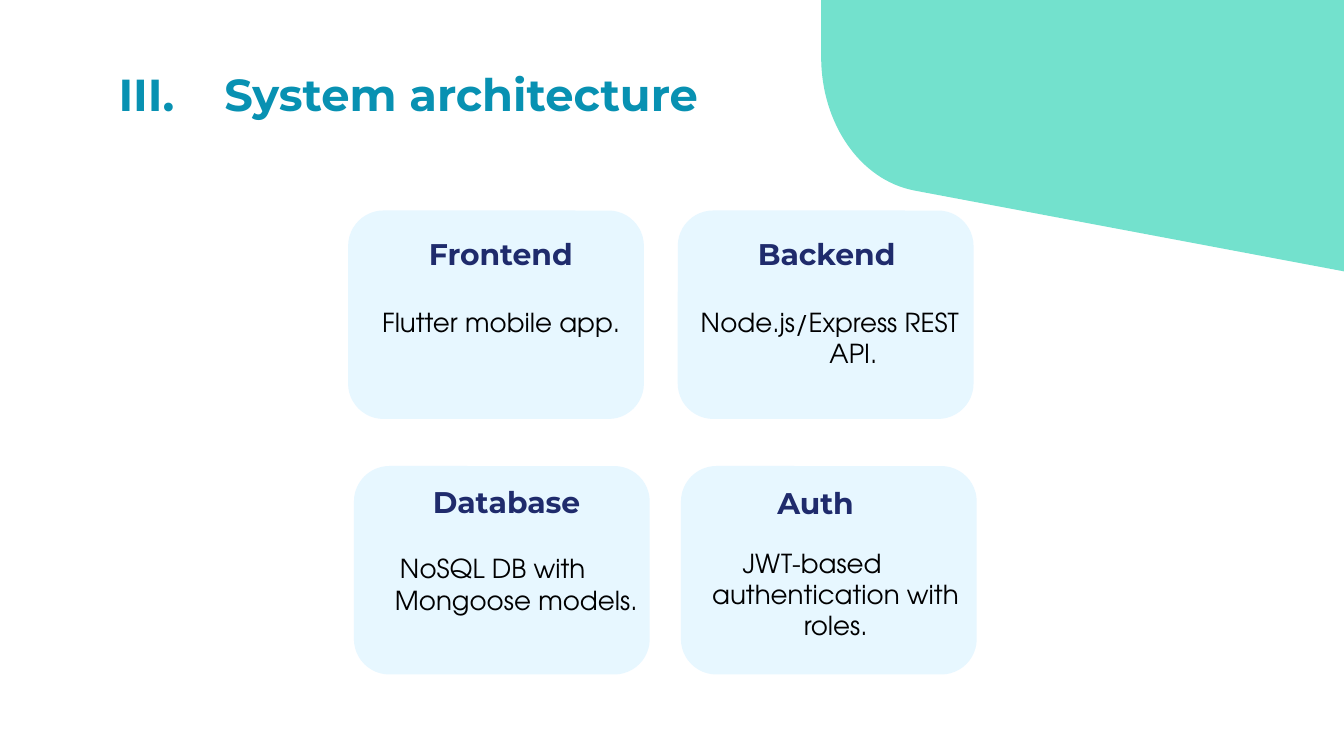
import dataclasses
import typing

import lxml.etree
import pptx
import pptx.dml.color
import pptx.enum.shapes
import pptx.enum.text
import pptx.oxml.ns
import pptx.util

Cm = pptx.util.Cm
Point = typing.Tuple[float, float]

COLORS = {
    "mint": "73E1CD",
    "card": "E7F7FF",
    "title": "0891B2",
    "heading": "1F2B6C",
    "body": "000000",
}
HEADING_FONT = "Montserrat"
BODY_FONT = "TeX Gyre Adventor"
CARD_WIDTH, CARD_HEIGHT = 5.59, 3.94
HEADING_WIDTH, HEADING_HEIGHT = 5.77, 1.17


@dataclasses.dataclass(frozen=True)
class Area:
    left: float
    top: float
    width: float
    height: float

    def lengths(self) -> typing.List[int]:
        return [Cm(value) for value in dataclasses.astuple(self)]


@dataclasses.dataclass(frozen=True)
class Card:
    heading: str
    body: str
    corner: Point
    heading_corner: Point
    body_area: Area


CARDS = [
    Card("Frontend", "Flutter mobile app.",
         (6.58, 3.98), (6.58, 4.2), Area(6.4, 5.54, 5.77, 1.37)),
    Card("Backend", "Node.js/Express REST API.",
         (12.81, 3.98), (12.74, 4.2), Area(12.17, 5.54, 6.65, 1.37)),
    Card("Database", "NoSQL DB with Mongoose models.",
         (6.69, 8.81), (6.69, 8.89), Area(5.9, 10.2, 6.45, 1.37)),
    Card("Auth", "JWT-based authentication with roles.",
         (12.87, 8.81), (12.53, 8.92), Area(11.82, 10.09, 6.68, 2.13)),
]


def color(name: str) -> pptx.dml.color.RGBColor:
    return pptx.dml.color.RGBColor.from_string(COLORS[name])


def paint(shape, name: str) -> None:
    shape.shadow.inherit = False
    shape.fill.solid()
    shape.fill.fore_color.rgb = color(name)
    shape.line.fill.background()


def curve(start: Point, first: Point, second: Point, end: Point,
          steps: int = 32) -> typing.List[Point]:
    points = []
    for step in range(1, steps + 1):
        t = step / steps
        points.append(tuple(
            (1 - t) ** 3 * a + 3 * (1 - t) ** 2 * t * b
            + 3 * (1 - t) * t ** 2 * c + t ** 3 * d
            for a, b, c, d in zip(start, first, second, end)))
    return points


def draw_corner(page) -> None:
    bend = (15.52, 1.07)
    outline = [(25.4, 0), (15.52, 0), bend]
    outline += curve(bend, (15.52, 2.34), (16.26, 3.4), (17.27, 3.6))
    builder = page.shapes.build_freeform(Cm(25.4), Cm(5.13), scale=1.0)
    builder.add_line_segments([(Cm(x), Cm(y)) for x, y in outline], close=True)
    paint(builder.convert_to_shape(), "mint")


def prepare(frame) -> None:
    frame.word_wrap = True
    frame.auto_size = pptx.enum.text.MSO_AUTO_SIZE.NONE
    frame.margin_left = frame.margin_right = Cm(0.25)
    frame.margin_top = frame.margin_bottom = Cm(0.25)


def add_span(para, text: str, font: str, size: int, name: str, bold: bool) -> None:
    span = para.add_run()
    span.text = text
    span.font.name = font
    span.font.size = pptx.util.Pt(size)
    span.font.bold = bold
    span.font.color.rgb = color(name)


def add_centred_box(page, area: Area):
    box = page.shapes.add_textbox(*area.lengths())
    prepare(box.text_frame)
    para = box.text_frame.paragraphs[0]
    para.alignment = pptx.enum.text.PP_ALIGN.CENTER
    return para


def draw_title(page) -> None:
    title = page.shapes.title
    title.left, title.top, title.width, title.height = Area(
        1.99, 1.02, 21.44, 1.6).lengths()
    prepare(title.text_frame)
    title.text_frame.vertical_anchor = pptx.enum.text.MSO_ANCHOR.TOP
    para = title.text_frame.paragraphs[0]
    para.alignment = pptx.enum.text.PP_ALIGN.LEFT
    properties = para._p.get_or_add_pPr()
    tabs = lxml.etree.SubElement(properties, pptx.oxml.ns.qn("a:tabLst"))
    lxml.etree.SubElement(tabs, pptx.oxml.ns.qn("a:tab"),
                          pos=str(Cm(2)), algn="l")
    add_span(para, "III.\tSystem architecture", HEADING_FONT, 24, "title", True)


def draw_card(page, card: Card) -> None:
    panel = page.shapes.add_shape(
        pptx.enum.shapes.MSO_SHAPE.ROUNDED_RECTANGLE,
        *Area(*card.corner, CARD_WIDTH, CARD_HEIGHT).lengths())
    panel.adjustments[0] = 0.17
    paint(panel, "card")

    heading = add_centred_box(
        page, Area(*card.heading_corner, HEADING_WIDTH, HEADING_HEIGHT))
    add_span(heading, card.heading, HEADING_FONT, 16, "heading", True)

    body = add_centred_box(page, card.body_area)
    properties = body._p.get_or_add_pPr()
    properties.set("marL", str(Cm(1.27)))
    properties.set("indent", str(Cm(-0.89)))
    add_span(body, card.body, BODY_FONT, 14, "body", False)


def main() -> None:
    deck = pptx.Presentation()
    deck.slide_width, deck.slide_height = Cm(25.4), Cm(14.29)
    page = deck.slides.add_slide(deck.slide_layouts.get_by_name("Title Only"))
    draw_corner(page)
    draw_title(page)
    for card in CARDS:
        draw_card(page, card)
    deck.save("out.pptx")


if __name__ == "__main__":
    main()
